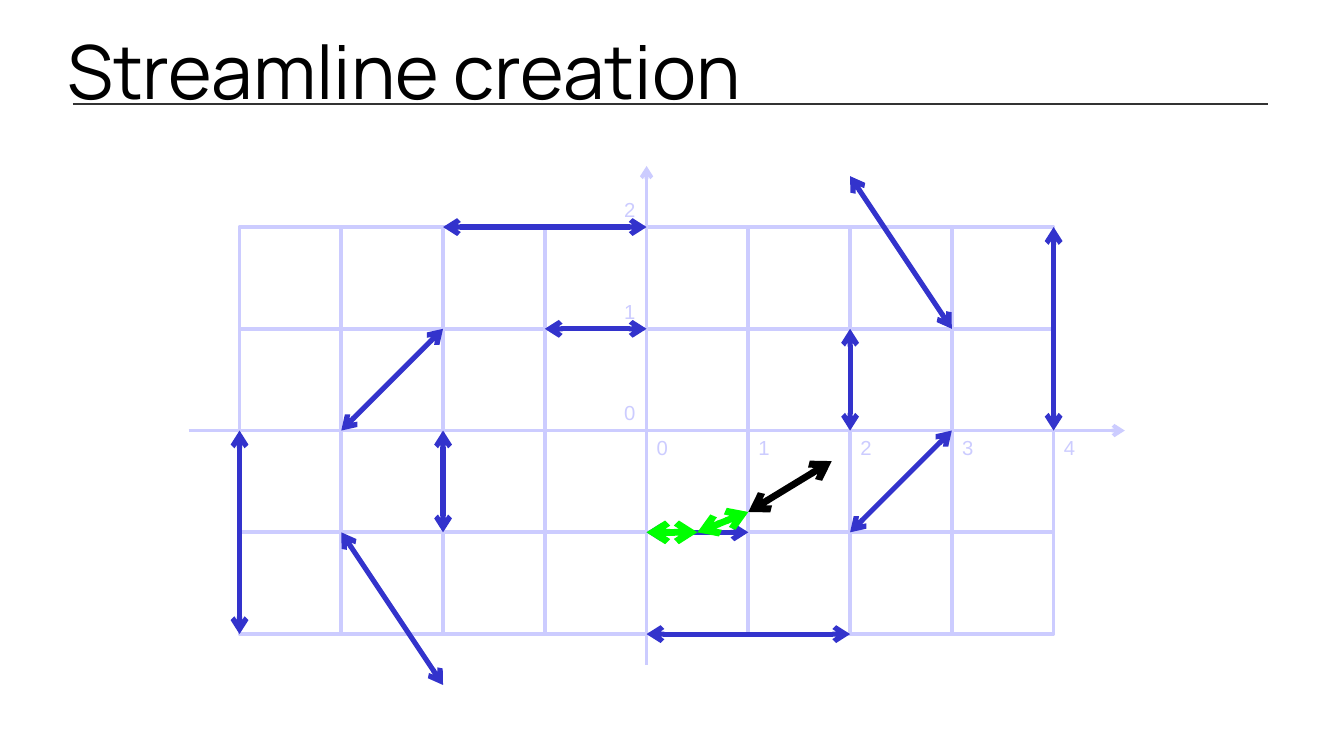
from itertools import product

from lxml.etree import SubElement
from pptx import Presentation
from pptx.dml.color import RGBColor
from pptx.enum.shapes import MSO_CONNECTOR, MSO_SHAPE
from pptx.enum.text import MSO_ANCHOR, PP_ALIGN
from pptx.oxml.ns import qn
from pptx.util import Cm, Pt

TITLE = "Streamline creation"
COLORS = {"grid": "CCCCFF", "field": "3333CC", "stream": "00FF00",
          "next": "000000", "rule": "333333", "title": "000000"}

# All coordinates below are in grid units, y pointing up.
COLS, ROWS = range(-4, 4), range(-2, 2)
AXES = [((-4.5, 0), (4.7, 0)), ((0, -2.3), (0, 2.6))]
X_LABELS, Y_LABELS = range(5), range(3)
FIELD = [
    ((0, -1), (1, -1)), ((2, 0), (2, 1)), ((4, 0), (4, 2)),
    ((-4, 0), (-4, -2)), ((-2, 0), (-2, -1)), ((0, 1), (-1, 1)),
    ((0, 2), (-2, 2)), ((0, -2), (2, -2)), ((2, -1), (3, 0)),
    ((-2, 1), (-3, 0)), ((3, 1), (2, 2.5)), ((-3, -1), (-2, -2.5)),
]
STREAM = [((0, -1), (0.5, -1)), ((0.5, -1), (1, -0.8))]
NEXT_STEP = [((1, -0.8), (1.82, -0.3))]

# Lengths in cm
ORIGIN_X, ORIGIN_Y, CELL = 13.47, 8.97, 2.12
LABEL = 0.75


def to_slide(x, y):
    """Grid units to cm on the slide."""
    return ORIGIN_X + x * CELL, ORIGIN_Y - y * CELL


def rgb(name):
    return RGBColor.from_string(COLORS[name])


def add_line(s, start, end, color, width, ends=()):
    """Line between two points in cm; ends lists the arrowheads to add."""
    c = s.shapes.add_connector(MSO_CONNECTOR.STRAIGHT,
                               *(Cm(v) for v in (*start, *end)))
    c.line.color.rgb = rgb(color)
    c.line.width = Pt(width)
    for end_tag in ends:
        SubElement(c.line._get_or_add_ln(), qn(end_tag), type="arrow")
    SubElement(c._element.spPr, qn("a:effectLst"))


def add_vectors(s, vectors, color, width, ends=("a:headEnd", "a:tailEnd")):
    for start, end in vectors:
        add_line(s, to_slide(*start), to_slide(*end), color, width, ends)


def add_cell(s, col, row):
    left, top = to_slide(col, row + 1)
    cell = s.shapes.add_shape(MSO_SHAPE.RECTANGLE, Cm(left), Cm(top),
                              Cm(CELL), Cm(CELL))
    cell.shadow.inherit = False
    cell.fill.background()
    cell.line.color.rgb = rgb("grid")
    cell.line.width = Pt(2.25)


def add_label(s, number, x, y):
    """Axis number centred on a point in cm."""
    tf = s.shapes.add_textbox(Cm(x - LABEL / 2), Cm(y - LABEL / 2),
                              Cm(LABEL), Cm(LABEL)).text_frame
    tf.margin_left = tf.margin_right = tf.margin_top = tf.margin_bottom = 0
    tf.word_wrap = True
    tf.vertical_anchor = MSO_ANCHOR.MIDDLE
    p = tf.paragraphs[0]
    p.text = str(number)
    p.alignment = PP_ALIGN.CENTER
    p.font.size = Pt(12)
    p.font.name = "Arial"
    p.font.color.rgb = rgb("grid")


def add_title(s):
    title = s.shapes.title
    title.left, title.top = Cm(1.4), Cm(0.4)
    title.width, title.height = Cm(25.2), Cm(2.1)
    tf = title.text_frame
    tf.margin_left = tf.margin_right = tf.margin_top = tf.margin_bottom = 0
    tf.vertical_anchor = MSO_ANCHOR.MIDDLE
    p = tf.paragraphs[0]
    p.text = TITLE
    p.alignment = PP_ALIGN.LEFT
    p.font.size = Pt(44)
    p.font.name = "Manrope"
    p.font.color.rgb = rgb("title")


def main():
    prs = Presentation()
    prs.slide_width, prs.slide_height = Cm(28), Cm(15.75)
    s = prs.slides.add_slide(prs.slide_layouts[5])

    add_title(s)
    add_line(s, (1.52, 2.16), (26.42, 2.16), "rule", 1)
    for col, row in product(COLS, ROWS):
        add_cell(s, col, row)
    add_vectors(s, AXES, "grid", 2.25, ["a:tailEnd"])
    for n in X_LABELS:
        x, y = to_slide(n, 0)
        add_label(s, n, x + 0.33, y + 0.35)
    for n in Y_LABELS:
        x, y = to_slide(0, n)
        add_label(s, n, x - 0.35, y - 0.37)
    add_vectors(s, FIELD, "field", 3)
    add_vectors(s, STREAM, "stream", 4)
    add_vectors(s, NEXT_STEP, "next", 4)

    prs.save("out.pptx")


if __name__ == "__main__":
    main()
